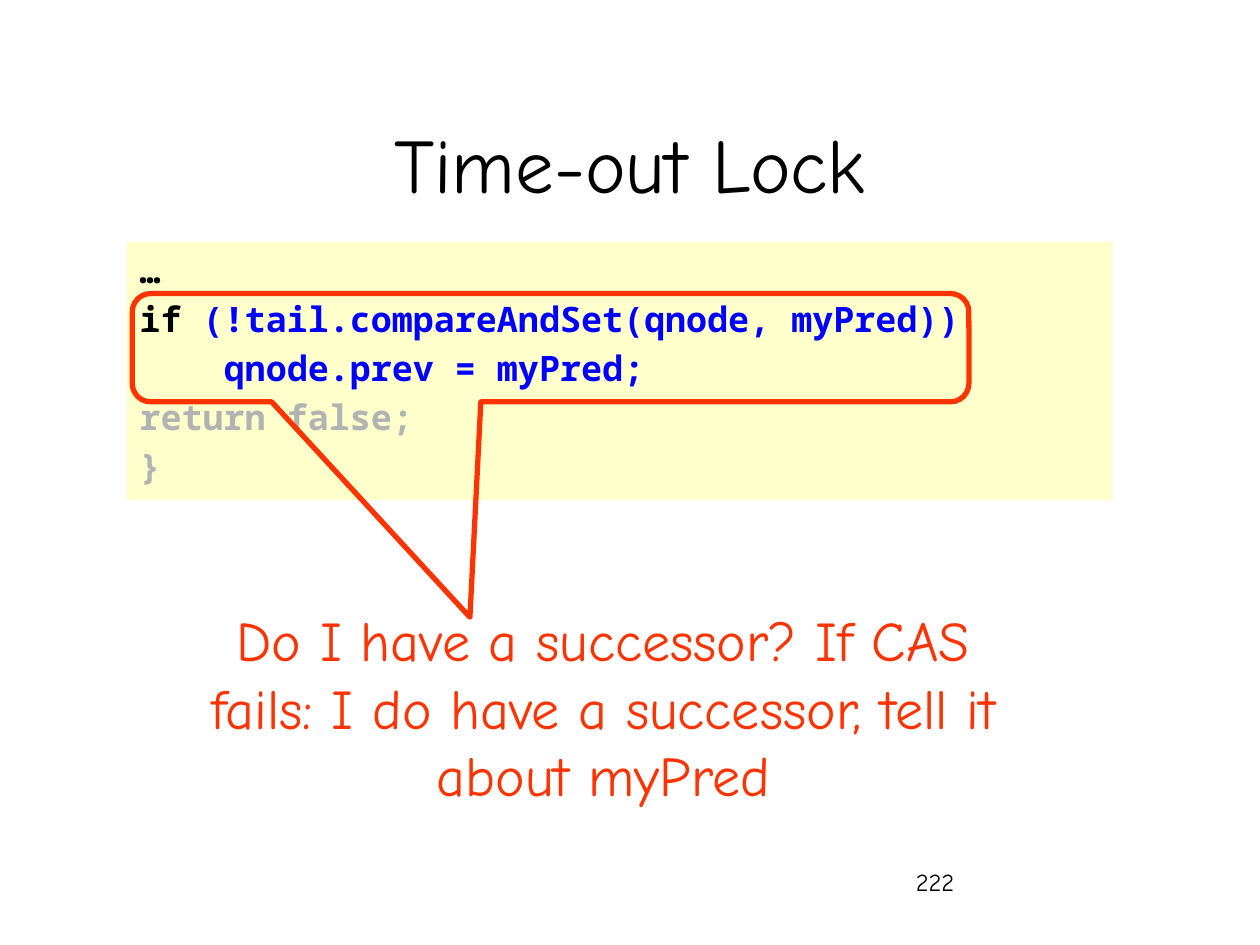
from pptx import Presentation
from pptx.dml.color import RGBColor
from pptx.enum.shapes import MSO_SHAPE
from pptx.enum.text import MSO_ANCHOR, MSO_AUTO_SIZE, PP_ALIGN
from pptx.util import Inches, Pt

CENTER, LEFT = PP_ALIGN.CENTER, PP_ALIGN.LEFT
TOP, MIDDLE = MSO_ANCHOR.TOP, MSO_ANCHOR.MIDDLE
FIT_TEXT = MSO_AUTO_SIZE.SHAPE_TO_FIT_TEXT
RECTANGLE = MSO_SHAPE.RECTANGLE
CALLOUT = MSO_SHAPE.ROUNDED_RECTANGULAR_CALLOUT
BLACK, BLUE, GRAY, RED, CREAM = "000000", "0000FF", "B2B2B2", "FF3300", "FFFFCC"


def rgb(color):
    return RGBColor.from_string(color)


def style_run(run, size, color, font="Comic Neue", bold=False):
    run.font.name = font
    run.font.size = Pt(size)
    run.font.bold = bold
    run.font.color.rgb = rgb(color)


prs = Presentation()
prs.slide_width, prs.slide_height = Inches(10), Inches(7.5)
slide = prs.slides.add_slide(prs.slide_layouts[5])
shapes = slide.shapes

# Slide number
page = shapes.add_textbox(Inches(7.17), Inches(6.83), Inches(2.08), Inches(0.5))
page.text_frame.word_wrap = True
page.text_frame.text = "222"
style_run(page.text_frame.paragraphs[0].runs[0], 14, BLACK)

# Title
title = shapes.title
title.left, title.top = Inches(0.75), Inches(0.67)
title.width, title.height = Inches(8.5), Inches(1.25)
title.text_frame.text = "Time-out Lock"
title.text_frame.vertical_anchor = MIDDLE
title.text_frame.paragraphs[0].alignment = CENTER
style_run(title.text_frame.paragraphs[0].runs[0], 44, BLACK)

# Code listing
code_lines = [
    [("…", BLACK)],
    [("if", BLACK), (" (!tail.compareAndSet(qnode, myPred))", BLUE)],
    [("    qnode.prev = myPred;", BLUE)],
    [("return false;", GRAY)],
    [("}", GRAY)],
]
code = shapes.add_shape(RECTANGLE, Inches(1.01), Inches(1.92), Inches(7.82), Inches(2.05))
code.shadow.inherit = False
code.fill.solid()
code.fill.fore_color.rgb = rgb(CREAM)
code.line.fill.background()
code_frame = code.text_frame
code_frame.word_wrap = True
code_frame.auto_size = FIT_TEXT
code_frame.vertical_anchor = TOP
for number, line in enumerate(code_lines):
    paragraph = code_frame.add_paragraph() if number else code_frame.paragraphs[0]
    paragraph.alignment = LEFT
    if number:
        paragraph.space_before = Pt(4)
    for text, color in line:
        run = paragraph.add_run()
        run.text = text
        style_run(run, 20, color, "Noto Sans Mono", bold=True)

# Explanation and the callout that points to it
explanation = shapes.add_textbox(Inches(1.41), Inches(4.76), Inches(6.76), Inches(1.7))
explanation.text_frame.word_wrap = True
explanation.text_frame.auto_size = FIT_TEXT
explanation.text_frame.text = (
    "Do I have a successor? If CAS fails: I do have a successor, tell it about myPred"
)
explanation.text_frame.paragraphs[0].alignment = CENTER
style_run(explanation.text_frame.paragraphs[0].runs[0], 32, RED)

callout = shapes.add_shape(CALLOUT, Inches(1.05), Inches(2.33), Inches(6.64), Inches(0.86))
callout.shadow.inherit = False
callout.fill.background()
callout.line.color.rgb = rgb(RED)
callout.line.width = Pt(3)
# The tip is measured from the callout's centre, in shares of its size
tip_x, tip_y = Inches(3.73), Inches(4.9)
callout.adjustments[0] = (tip_x - callout.left) / callout.width - 0.5
callout.adjustments[1] = (tip_y - callout.top) / callout.height - 0.5
callout.adjustments[2] = 0.17

prs.save("out.pptx")
